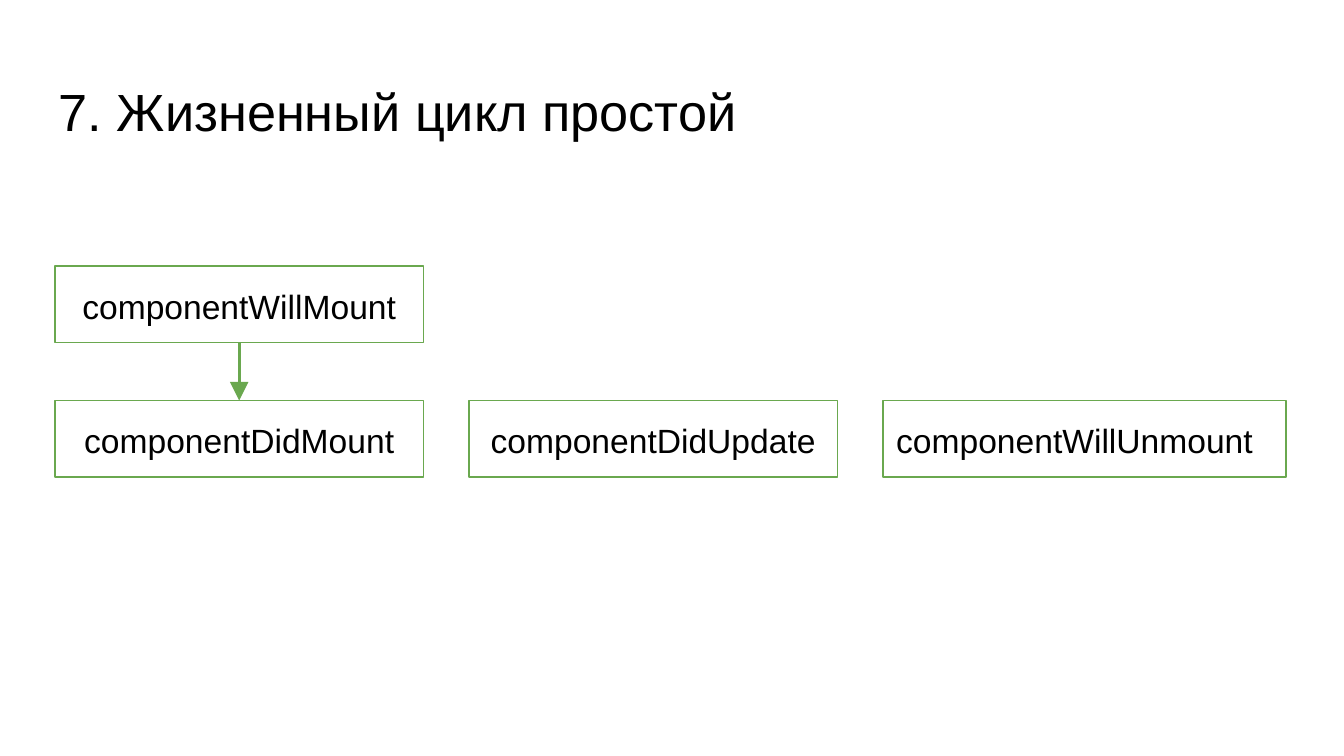
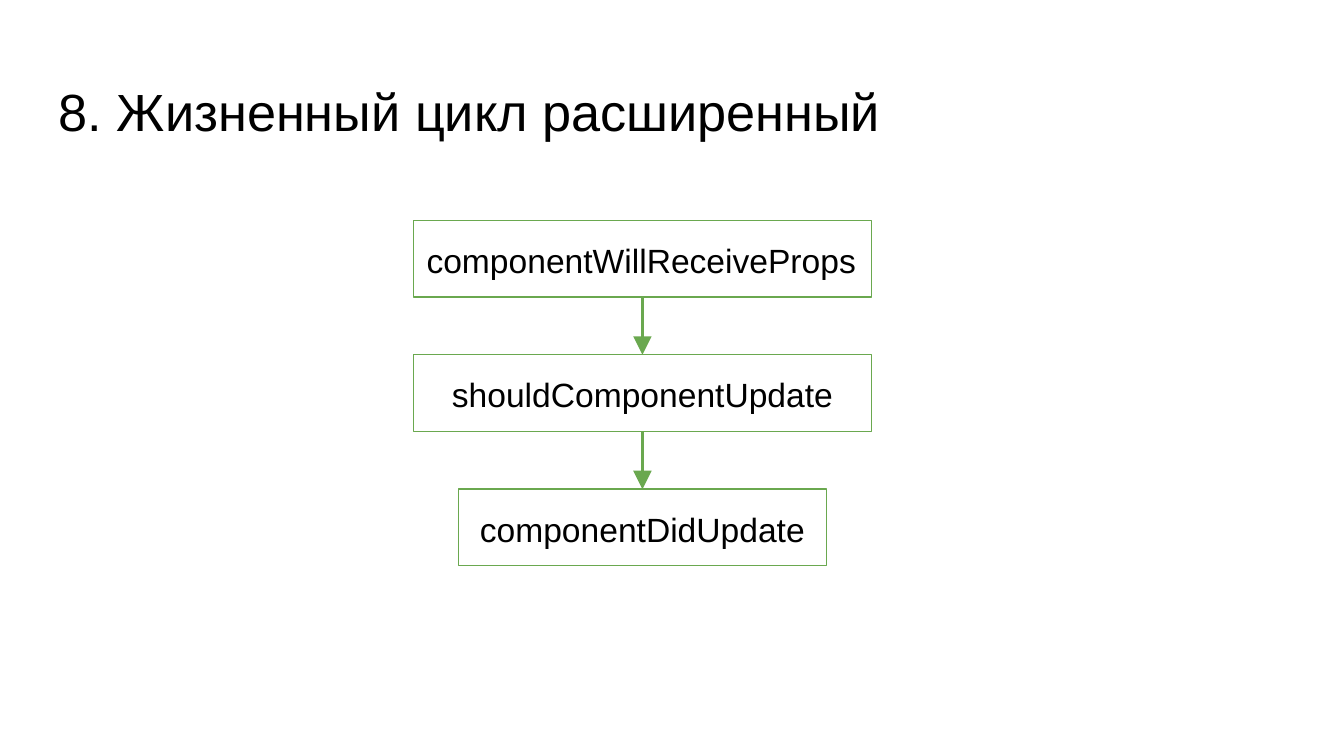
"""Build two slides that chart component lifecycle methods."""
from dataclasses import dataclass
from itertools import pairwise

from lxml import etree
from pptx import Presentation
from pptx.dml.color import RGBColor
from pptx.enum.shapes import MSO_CONNECTOR, MSO_SHAPE
from pptx.enum.text import MSO_ANCHOR, PP_ALIGN
from pptx.oxml.ns import qn
from pptx.shapes.autoshape import Shape
from pptx.slide import Slide
from pptx.text.text import TextFrame, _Paragraph
from pptx.util import Inches, Pt

RECTANGLE = MSO_SHAPE.RECTANGLE
STRAIGHT = MSO_CONNECTOR.STRAIGHT
TOP = MSO_ANCHOR.TOP
LEFT, CENTER = PP_ALIGN.LEFT, PP_ALIGN.CENTER

COLORS = {"text": "000000", "green": "6AA84F"}
FONT = "Arial"
SLIDE_WIDTH = Inches(10)
SLIDE_HEIGHT = SLIDE_WIDTH * 9 // 16
BOX_WIDTH, BOX_HEIGHT = 2.74, 0.57
WIDE_BOX = 3.41
ROW_STEP, COLUMN_STEP = 1.0, 3.08
SIMPLE_LEFT, SIMPLE_TOP = 0.41, 1.98
CHAIN_CENTER, CHAIN_TOP = 4.78, 1.64
BOTTOM_SITE, TOP_SITE = 2, 0


@dataclass(frozen=True)
class Method:
    name: str
    left: float
    top: float
    width: float = BOX_WIDTH
    align: PP_ALIGN = CENTER


@dataclass(frozen=True)
class Lifecycle:
    title: str
    chain: list[Method]
    separate: list[Method]


def simple_method(name: str, column: int, row: int, width: float = BOX_WIDTH,
                  align: PP_ALIGN = CENTER) -> Method:
    return Method(name, SIMPLE_LEFT + column * COLUMN_STEP, SIMPLE_TOP + row * ROW_STEP,
                  width, align)


def chain_method(name: str, row: int, width: float, align: PP_ALIGN = CENTER) -> Method:
    return Method(name, CHAIN_CENTER - width / 2, CHAIN_TOP + row * ROW_STEP, width, align)


LIFECYCLES = [
    Lifecycle(
        "7. Жизненный цикл простой",
        [simple_method("componentWillMount", 0, 0), simple_method("componentDidMount", 0, 1)],
        [
            simple_method("componentDidUpdate", 1, 1),
            simple_method("componentWillUnmount", 2, 1, 3.0, LEFT),
        ],
    ),
    Lifecycle(
        "8. Жизненный цикл расширенный",
        [
            chain_method("componentWillReceiveProps", 0, WIDE_BOX, LEFT),
            chain_method("shouldComponentUpdate", 1, WIDE_BOX),
            chain_method("componentDidUpdate", 2, BOX_WIDTH),
        ],
        [],
    ),
]


def color(name: str) -> RGBColor:
    return RGBColor.from_string(COLORS[name])


def write_text(frame: TextFrame, text: str, size: int, align: PP_ALIGN) -> _Paragraph:
    frame.word_wrap = True
    frame.vertical_anchor = TOP
    frame.margin_left = frame.margin_right = Inches(0.1)
    frame.margin_top = frame.margin_bottom = Inches(0.1)
    paragraph = frame.paragraphs[0]
    paragraph.text = text
    paragraph.alignment = align
    paragraph.font.name = FONT
    paragraph.font.size = Pt(size)
    paragraph.font.color.rgb = color("text")
    return paragraph


def add_title(page: Slide, text: str) -> None:
    box = page.shapes.add_textbox(Inches(0.34), Inches(0.49), Inches(9.32), Inches(0.63))
    write_text(box.text_frame, text, 28, LEFT)


def add_method(page: Slide, method: Method) -> Shape:
    box = page.shapes.add_shape(RECTANGLE, Inches(method.left), Inches(method.top),
                                Inches(method.width), Inches(BOX_HEIGHT))
    box.shadow.inherit = False
    box.fill.background()
    box.line.color.rgb = color("green")
    box.line.width = Pt(0.75)
    paragraph = write_text(box.text_frame, method.name, 18, method.align)
    paragraph.line_spacing = 1.15
    paragraph.space_after = Pt(2)
    return box


def add_arrow(page: Slide, upper: Shape, lower: Shape) -> None:
    arrow = page.shapes.add_connector(STRAIGHT, 0, 0, 0, 0)
    arrow.begin_connect(upper, BOTTOM_SITE)
    arrow.end_connect(lower, TOP_SITE)
    arrow.line.color.rgb = color("green")
    arrow.line.width = Pt(1.5)
    etree.SubElement(arrow.line._get_or_add_ln(), qn("a:tailEnd"),
                     type="triangle", w="lg", len="lg")
    etree.SubElement(arrow._element.spPr, qn("a:effectLst"))


def add_lifecycle(page: Slide, lifecycle: Lifecycle) -> None:
    add_title(page, lifecycle.title)
    boxes = [add_method(page, method) for method in lifecycle.chain]
    for upper, lower in pairwise(boxes):
        add_arrow(page, upper, lower)
    for method in lifecycle.separate:
        add_method(page, method)


def main() -> None:
    deck = Presentation()
    deck.slide_width, deck.slide_height = SLIDE_WIDTH, SLIDE_HEIGHT
    blank = deck.slide_layouts[6]
    for lifecycle in LIFECYCLES:
        add_lifecycle(deck.slides.add_slide(blank), lifecycle)
    deck.save("out.pptx")


if __name__ == "__main__":
    main()
